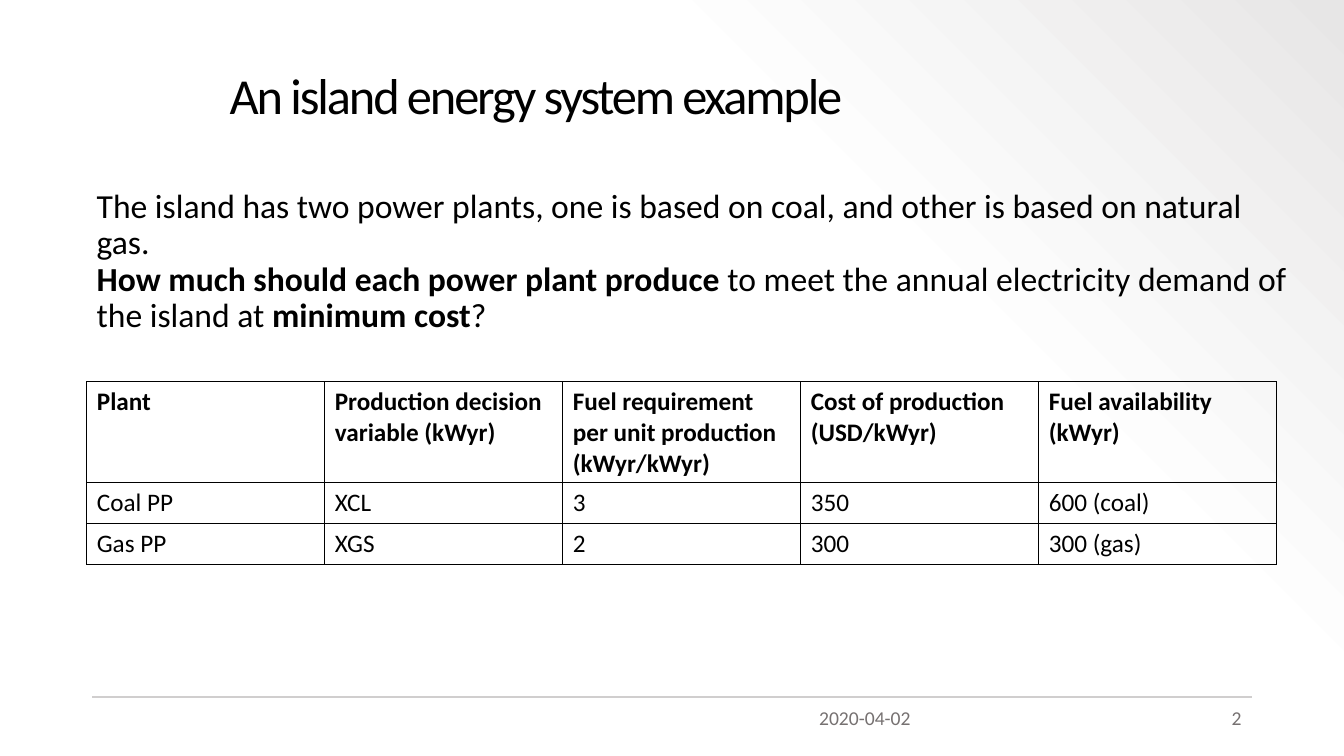
from copy import deepcopy

from lxml.etree import SubElement
from pptx import Presentation
from pptx.dml.color import RGBColor
from pptx.enum.shapes import MSO_CONNECTOR as Connector
from pptx.enum.text import MSO_ANCHOR as Anchor, PP_ALIGN as Align
from pptx.oxml import parse_xml
from pptx.oxml.ns import nsdecls, qn
from pptx.util import Pt

COLORS = {
    "text": "000000",
    "footer": "767171",
    "rule": "D0CECE",
    "border": "000000",
}
BACKGROUND = [(0, "FFFFFF"), (0.69, "FDFDFD"), (1, "E7E6E6")]


class SlideBuilder:
    """Holds the style and the current slide."""

    font_name = "Calibri"

    def __init__(self, page):
        self.page = page

    def background(self, stops, angle):
        fill = self.page.background.fill
        fill.gradient()
        fill.gradient_angle = angle
        first = fill._fill._gradFill.gsLst[0]
        for _ in range(len(stops) - len(fill.gradient_stops)):
            first.addnext(deepcopy(first))
        for stop, (position, color) in zip(fill.gradient_stops, stops):
            stop.position = position
            stop.color.rgb = RGBColor.from_string(color)

    def line(self, x1, y1, x2, y2, color, width):
        rule = self.page.shapes.add_connector(
            Connector.STRAIGHT, Pt(x1), Pt(y1), Pt(x2), Pt(y2))
        rule.line.color.rgb = RGBColor.from_string(COLORS[color])
        rule.line.width = Pt(width)
        SubElement(rule._element.spPr, qn("a:effectLst"))

    def style(self, para, size, color="text", bold=None):
        font = para.font
        font.name = self.font_name
        font.size = Pt(size)
        font.bold = bold
        font.color.rgb = RGBColor.from_string(COLORS[color])

    def text(self, left, top, width, height, paragraphs, size, color="text",
             align=Align.LEFT, anchor=Anchor.TOP, line_spacing=None, tracking=None):
        """Each paragraph is a list of (wording, bold) spans."""
        box = self.page.shapes.add_textbox(Pt(left), Pt(top), Pt(width), Pt(height))
        frame = box.text_frame
        frame.word_wrap = True
        frame.vertical_anchor = anchor
        for index, spans in enumerate(paragraphs):
            para = frame.add_paragraph() if index else frame.paragraphs[0]
            para.alignment = align
            para.line_spacing = line_spacing
            self.style(para, size, color)
            for wording, bold in spans:
                span = para.add_run()
                span.text = wording
                if bold:
                    span.font.bold = True
                if tracking:
                    span._r.get_or_add_rPr().set("spc", str(round(tracking * 100)))

    def borders(self, cell, color, width):
        properties = cell._tc.get_or_add_tcPr()
        for index, side in enumerate(("lnL", "lnR", "lnT", "lnB")):
            properties.insert(index, parse_xml(
                f'<a:{side} {nsdecls("a")} w="{Pt(width)}"><a:solidFill>'
                f'<a:srgbClr val="{COLORS[color]}"/></a:solidFill></a:{side}>'))

    def table(self, left, top, column_width, row_heights, rows, size):
        columns = len(rows[0])
        grid = self.page.shapes.add_table(
            len(rows), columns, Pt(left), Pt(top),
            Pt(column_width * columns), Pt(sum(row_heights))).table
        grid.horz_banding = False
        for column in grid.columns:
            column.width = Pt(column_width)
        for row_index, values in enumerate(rows):
            grid.rows[row_index].height = Pt(row_heights[row_index])
            for column_index, value in enumerate(values):
                cell = grid.cell(row_index, column_index)
                cell.text = value
                cell.fill.background()
                self.style(cell.text_frame.paragraphs[0], size, bold=row_index == 0)
                self.borders(cell, "border", 1)


def main():
    deck = Presentation()
    deck.slide_width, deck.slide_height = Pt(960), Pt(540)
    page = deck.slides.add_slide(deck.slide_layouts[6])
    slide = SlideBuilder(page)

    # Background and footer
    slide.background(BACKGROUND, 45)
    slide.line(66, 498, 894, 498, "rule", 1.5)
    slide.text(678, 500.4, 216, 28.8, [[("2", False)]], 14, "footer", Align.RIGHT)
    slide.text(578, 500.4, 216, 28.8, [[("2020-04-02", False)]], 14, "footer")

    # Title
    slide.text(157, 39, 550, 62.6, [[("An island energy system example", False)]], 36,
               anchor=Anchor.MIDDLE, line_spacing=0.9, tracking=-1.5)

    # Problem statement
    slide.text(62, 131.8, 869, 85.7, [
        [("The island has two power plants, one is based on coal, "
          "and other is based on natural gas.", False)],
        [("How much should each power plant produce ", True),
         ("to meet the annual electricity demand of the island at ", False),
         ("minimum cost", True),
         ("?", False)],
    ], 24, line_spacing=0.9)

    # Power plant data
    slide.table(62, 272.7, 170, [72, 29.2, 29.2], [
        ["Plant", "Production decision variable (kWyr)",
         "Fuel requirement per unit production (kWyr/kWyr)",
         "Cost of production (USD/kWyr)", "Fuel availability (kWyr)"],
        ["Coal PP", "XCL", "3", "350", "600 (coal)"],
        ["Gas PP", "XGS", "2", "300", "300 (gas)"],
    ], 18)

    deck.save("out.pptx")


if __name__ == "__main__":
    main()
